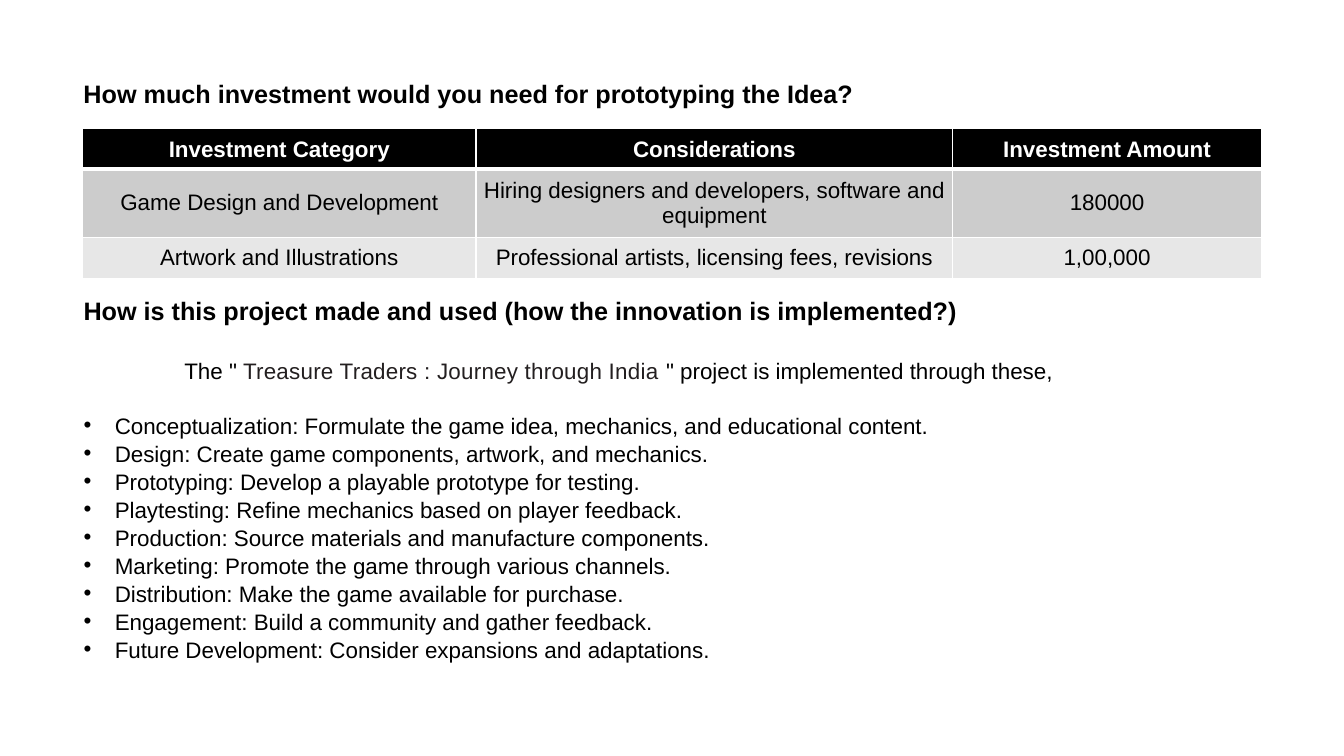
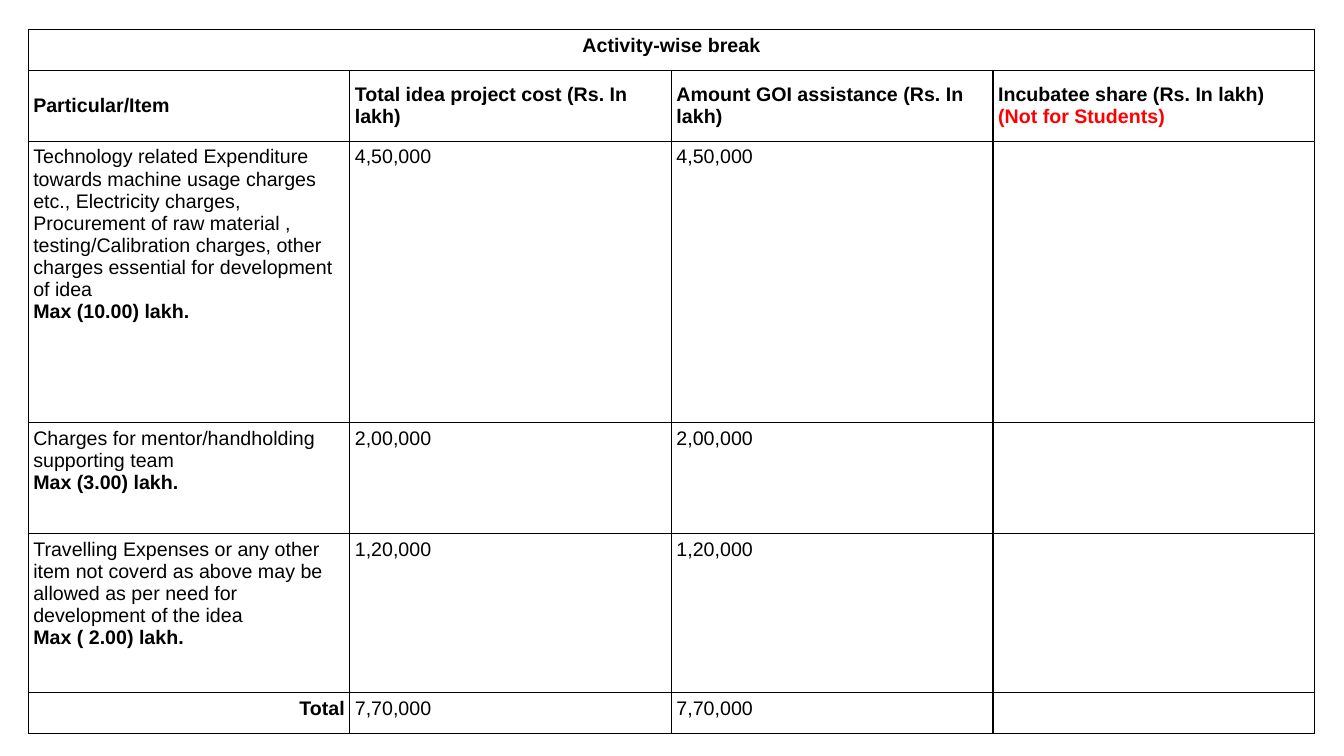
from lxml import etree
from pptx import Presentation
from pptx.dml.color import RGBColor
from pptx.enum.text import MSO_ANCHOR, PP_ALIGN
from pptx.oxml import parse_xml
from pptx.oxml.ns import nsdecls, qn
from pptx.util import Inches, Pt

FONT = "Arial"
BLACK, WHITE, RED, INK = "000000", "FFFFFF", "FF0000", "231F20"
HEADER_FILL, BODY_FILLS = BLACK, ("CCCCCC", "E7E7E7")
HEADING_SIZE, BODY_SIZE, BUDGET_SIZE = 18, 16, 14

INVESTMENT_HEADING = "How much investment would you need for prototyping the Idea?"
INVESTMENT_ROWS = [
    ("Investment Category", "Considerations", "Investment Amount"),
    ("Game Design and Development",
     "Hiring designers and developers, software and equipment", "180000"),
    ("Artwork and Illustrations",
     "Professional artists, licensing fees, revisions", "1,00,000"),
]
INVESTMENT_COLUMNS = (3.9, 4.73, 3.06)
INVESTMENT_HEIGHTS = (0.41, 0.66, 0.41)

PROJECT_HEADING = "How is this project made and used (how the innovation is implemented?)"
PROJECT_INTRO = [
    ("The \"", BLACK),
    (" Treasure Traders : Journey through India ", INK),
    ("\" project is implemented through these,", BLACK),
]
PROJECT_STEPS = [
    "Conceptualization: Formulate the game idea, mechanics, and educational content.",
    "Design: Create game components, artwork, and mechanics.",
    "Prototyping: Develop a playable prototype for testing.",
    "Playtesting: Refine mechanics based on player feedback.",
    "Production: Source materials and manufacture components.",
    "Marketing: Promote the game through various channels.",
    "Distribution: Make the game available for purchase.",
    "Engagement: Build a community and gather feedback.",
    "Future Development: Consider expansions and adaptations.",
]

BUDGET_TITLE = "Activity-wise break"
BUDGET_HEADERS = [
    ("Particular/Item",),
    ("Total idea project cost (Rs. In lakh)",),
    ("Amount GOI assistance (Rs. In lakh)",),
    ("Incubatee share (Rs. In lakh)", "(Not for Students)"),
]
# Item, its upper limit, and the amount shown as both cost and assistance
BUDGET_ITEMS = [
    ("Technology related Expenditure towards machine usage charges etc., "
     "Electricity charges, Procurement of raw material , testing/Calibration "
     "charges, other charges essential for development of idea",
     "Max (10.00) lakh.", "4,50,000"),
    ("Charges for mentor/handholding supporting team",
     "Max (3.00) lakh.", "2,00,000"),
    ("Travelling Expenses or any other item not coverd as above may be "
     "allowed as per need for development of the idea",
     "Max ( 2.00) lakh.", "1,20,000"),
]
BUDGET_TOTAL = ("Total", "7,70,000")
BUDGET_COLUMNS = (3.19,) * 4
BUDGET_HEIGHTS = (0.41, 0.7, 2.79, 1.1, 1.58, 0.41)


def rgb(value):
    return RGBColor.from_string(value)


def style_run(run, size, color=BLACK, bold=False):
    run.font.name = FONT
    run.font.size = Pt(size)
    run.font.bold = bold
    run.font.color.rgb = rgb(color)


def write_paragraph(paragraph, text, size, color=BLACK, bold=False, align=PP_ALIGN.LEFT):
    paragraph.text = text
    paragraph.alignment = align
    for run in paragraph.runs:
        style_run(run, size, color, bold)


def add_text_frame(slide, left, top, width, height):
    box = slide.shapes.add_textbox(*map(Inches, (left, top, width, height)))
    box.text_frame.word_wrap = True
    return box.text_frame


def add_bullet(paragraph, indent=0.31):
    properties = paragraph._p.get_or_add_pPr()
    properties.set("marL", str(Inches(indent)))
    properties.set("indent", str(Inches(-indent)))
    etree.SubElement(properties, qn("a:buFont")).set("typeface", FONT)
    etree.SubElement(properties, qn("a:buChar")).set("char", "•")


def set_borders(cell, color, **widths):
    """Draw all four borders 1 pt wide, except the sides named in widths."""
    for index, side in enumerate("LRTB"):
        width = Pt(widths.get(side, 1))
        line = parse_xml(
            f'<a:ln{side} {nsdecls("a")} w="{width}"><a:solidFill>'
            f'<a:srgbClr val="{color}"/></a:solidFill></a:ln{side}>')
        cell._tc.get_or_add_tcPr().insert(index, line)


def add_plain_table(slide, left, top, columns, heights):
    frame = slide.shapes.add_table(
        len(heights), len(columns), Inches(left), Inches(top),
        Inches(sum(columns)), Inches(sum(heights)))
    table = frame.table
    table.first_row = table.horz_banding = False
    for column, width in zip(table.columns, columns):
        column.width = Inches(width)
    for row, height in zip(table.rows, heights):
        row.height = Inches(height)
    return table


def format_cell(cell, fill, margin, anchor):
    cell.fill.solid()
    cell.fill.fore_color.rgb = rgb(fill)
    cell.margin_left = cell.margin_right = Inches(margin)
    cell.margin_top = cell.margin_bottom = Inches(margin)
    cell.vertical_anchor = anchor


def write_cell(cell, lines, align=PP_ALIGN.LEFT):
    """Write (text, bold, color) lines, one paragraph each."""
    frame = cell.text_frame
    for index, (text, bold, color) in enumerate(lines):
        paragraph = frame.add_paragraph() if index else frame.paragraphs[0]
        write_paragraph(paragraph, text, BUDGET_SIZE, color, bold, align)


def add_investment_table(slide):
    table = add_plain_table(slide, 0.82, 1.27, INVESTMENT_COLUMNS, INVESTMENT_HEIGHTS)
    for row, texts in enumerate(INVESTMENT_ROWS):
        header = row == 0
        fill = HEADER_FILL if header else BODY_FILLS[row - 1]
        anchor = MSO_ANCHOR.BOTTOM if header else MSO_ANCHOR.MIDDLE
        for column, text in enumerate(texts):
            cell = table.cell(row, column)
            format_cell(cell, fill, 0.07, anchor)
            set_borders(cell, WHITE, T=3 if row == 1 else 1, B=3 if header else 1)
            write_paragraph(cell.text_frame.paragraphs[0], text, BODY_SIZE,
                            WHITE if header else BLACK, header, PP_ALIGN.CENTER)


def add_project_text(slide):
    frame = add_text_frame(slide, 0.73, 2.88, 12.11, 4.01)
    write_paragraph(frame.paragraphs[0], PROJECT_HEADING, HEADING_SIZE,
                    bold=True, align=PP_ALIGN.JUSTIFY)

    intro = frame.add_paragraph()
    intro.alignment = PP_ALIGN.JUSTIFY
    intro.space_before = Pt(22.5)
    intro._p.get_or_add_pPr().set("marL", str(Inches(1)))
    for text, color in PROJECT_INTRO:
        run = intro.add_run()
        run.text = text
        style_run(run, BODY_SIZE, color)
        if color == INK:
            run.font._element.set("spc", "20")

    for index, step in enumerate(PROJECT_STEPS):
        paragraph = frame.add_paragraph()
        write_paragraph(paragraph, step, BODY_SIZE, align=PP_ALIGN.JUSTIFY)
        paragraph.space_before = Pt(0.8 if index else 20)
        add_bullet(paragraph)


def build_investment_slide(slide):
    heading = add_text_frame(slide, 0.73, 0.73, 11.87, 0.4)
    write_paragraph(heading.paragraphs[0], INVESTMENT_HEADING, HEADING_SIZE, bold=True)
    add_project_text(slide)
    add_investment_table(slide)


def build_budget_slide(slide):
    table = add_plain_table(slide, 0.28, 0.29, BUDGET_COLUMNS, BUDGET_HEIGHTS)
    for row in range(len(BUDGET_HEIGHTS)):
        anchor = MSO_ANCHOR.MIDDLE if row == 1 else MSO_ANCHOR.TOP
        for column in range(len(BUDGET_COLUMNS)):
            cell = table.cell(row, column)
            format_cell(cell, WHITE, 0.05, anchor)
            set_borders(cell, BLACK)

    table.cell(0, 0).merge(table.cell(0, len(BUDGET_COLUMNS) - 1))
    write_cell(table.cell(0, 0), [(BUDGET_TITLE, True, BLACK)], PP_ALIGN.CENTER)
    for column, lines in enumerate(BUDGET_HEADERS):
        write_cell(table.cell(1, column),
                   [(text, True, RED if index else BLACK)
                    for index, text in enumerate(lines)])

    for row, (item, limit, _) in enumerate(BUDGET_ITEMS, start=2):
        write_cell(table.cell(row, 0), [(item, False, BLACK), (limit, True, BLACK)])
    total_label, total = BUDGET_TOTAL
    total_row = len(BUDGET_HEIGHTS) - 1
    write_cell(table.cell(total_row, 0), [(total_label, True, BLACK)], PP_ALIGN.RIGHT)

    amounts = [amount for _, _, amount in BUDGET_ITEMS] + [total]
    for row, amount in enumerate(amounts, start=2):
        for column in (1, 2):
            write_cell(table.cell(row, column), [(amount, False, BLACK)])


def main():
    presentation = Presentation()
    presentation.slide_width = Inches(13.33)
    presentation.slide_height = Inches(7.5)
    blank_layout = presentation.slide_layouts[6]
    for build in (build_investment_slide, build_budget_slide):
        build(presentation.slides.add_slide(blank_layout))
    presentation.save("out.pptx")


if __name__ == "__main__":
    main()
